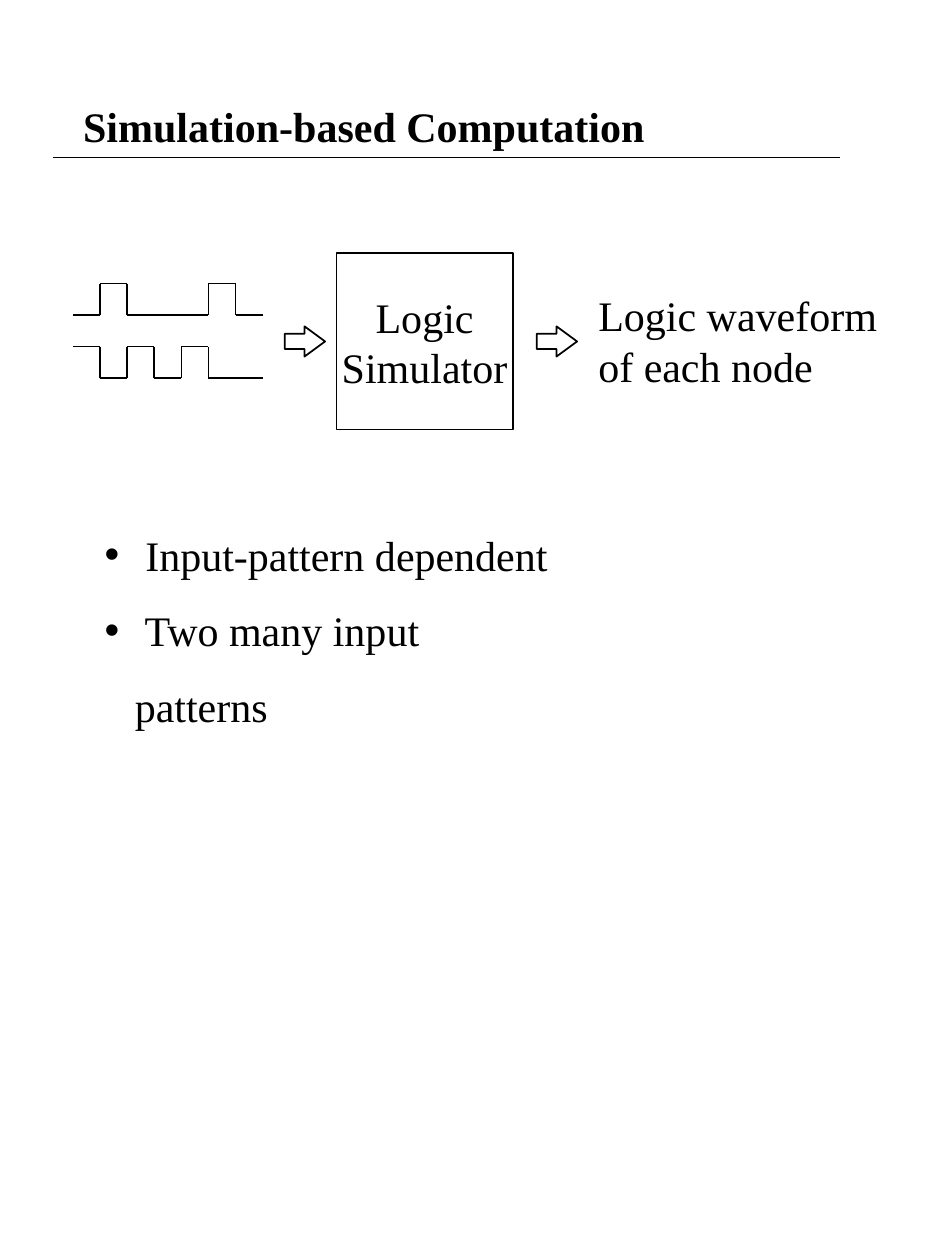
"""Build the slide on simulation-based computation."""
from lxml import etree
from pptx import Presentation, util as u
from pptx.dml.color import RGBColor
from pptx.enum import shapes, text
from pptx.oxml.ns import qn

GRID = u.Inches(0.25)
INK, PAPER = "000000", "FFFFFF"


def paint(fmt, color):
    """Give a fill or a line's fill one solid colour."""
    fmt.solid()
    fmt.fore_color.rgb = RGBColor.from_string(color)


def write(tf, lines, align=text.PP_ALIGN.LEFT, bold=False, spacing=1.0, bullet=False):
    """Write one paragraph per line in the slide's font."""
    for i, line in enumerate(lines):
        p = tf.paragraphs[0] if i == 0 else tf.add_paragraph()
        p.alignment, p.line_spacing, p.space_before = align, spacing, u.Pt(0)
        if bullet:
            pPr = p._p.get_or_add_pPr()
            pPr.set("marL", str(u.Inches(0.24)))
            pPr.set("indent", str(-u.Inches(0.24)))
            etree.SubElement(pPr, qn("a:buChar"), char="•")
        r = p.add_run()
        r.text = line
        r.font.name, r.font.size, r.font.bold = "Times New Roman", u.Pt(24), bold
        paint(r.font.fill, INK)


prs = Presentation()
prs.slide_width, prs.slide_height = 30 * GRID, 40 * GRID
s = prs.slides.add_slide(prs.slide_layouts[1])
title, body = s.placeholders
label = s.shapes.add_textbox(0, 0, GRID, GRID)
for sp, x, y, w, h in ((title, 2.24, 2, 25.48, 4),
                       (body, 2.92, 15.8, 14.96, 7.6),
                       (label, 18.6, 9, 9.64, 3.6)):
    sp.left, sp.top, sp.width, sp.height = (int(v * GRID) for v in (x, y, w, h))
    sp.text_frame.auto_size = text.MSO_AUTO_SIZE.NONE
    sp.text_frame.word_wrap = sp is not label

title.text_frame.vertical_anchor = text.MSO_ANCHOR.MIDDLE
write(title.text_frame, ["Simulation-based Computation"], bold=True)
write(body.text_frame, [" Input-pattern dependent", " Two many input patterns"],
      spacing=1.5, bullet=True)
write(label.text_frame, ["Logic waveform", "of each node"])

waves = s.shapes.add_group_shape()
segments = [(s, 1.68, 5, 26.68, 5)]
left, step = 2.32, 0.86
for low, levels in ((10, (0, 1, 0, 0, 0, 1, 0)), (12, (1, 0, 1, 0, 1, 0, 0))):
    for i, level in enumerate(levels):
        x, y = left + i * step, low - level
        segments.append((waves, x, y, x + step, y))
        if i and level != levels[i - 1]:
            segments.append((waves, x, low - levels[i - 1], x, y))
for parent, *ends in segments:
    line = parent.shapes.add_connector(shapes.MSO_CONNECTOR.STRAIGHT,
                                       *(int(v * GRID) for v in ends))
    paint(line.line.fill, INK)
    line.line.width = u.Pt(1)
    etree.SubElement(line._element.spPr, qn("a:effectLst"))

ARROW, BOX = shapes.MSO_SHAPE.RIGHT_ARROW, shapes.MSO_SHAPE.RECTANGLE
for kind, x, y, w, h in ((ARROW, 9.04, 10.36, 1.28, 0.96),
                         (BOX, 10.68, 8.04, 5.6, 5.6),
                         (ARROW, 17.04, 10.36, 1.28, 0.96)):
    sp = s.shapes.add_shape(kind, *(int(v * GRID) for v in (x, y, w, h)))
    sp.shadow.inherit = False
    paint(sp.fill, PAPER)
    etree.SubElement(sp._element.spPr.find(qn("a:solidFill"))[0], qn("a:alpha"), val="50000")
    paint(sp.line.fill, INK)
    sp.line.width = u.Pt(1)
    if kind == ARROW:
        sp.adjustments[1] = 0.68
    else:
        sp.text_frame.word_wrap = False
        sp.text_frame.vertical_anchor = text.MSO_ANCHOR.MIDDLE
        write(sp.text_frame, ["Logic", "Simulator"], text.PP_ALIGN.CENTER)

prs.save("out.pptx")
